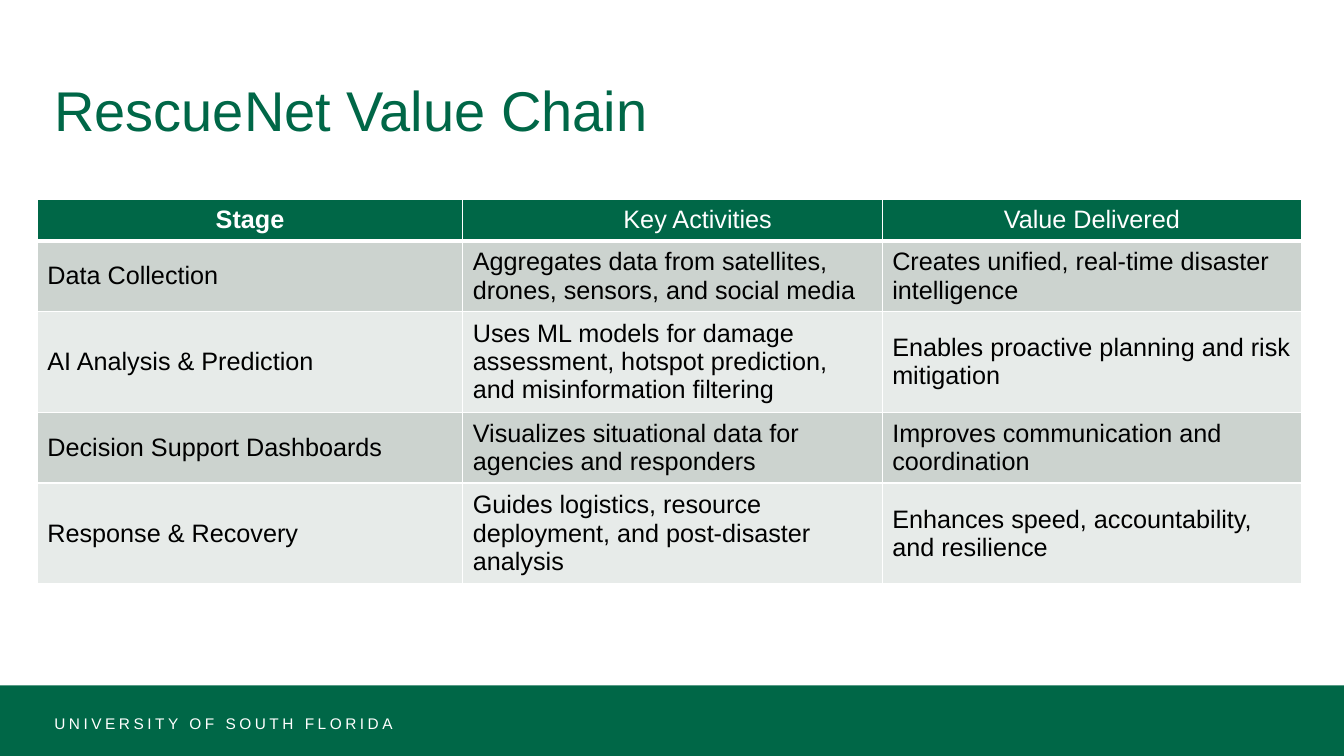
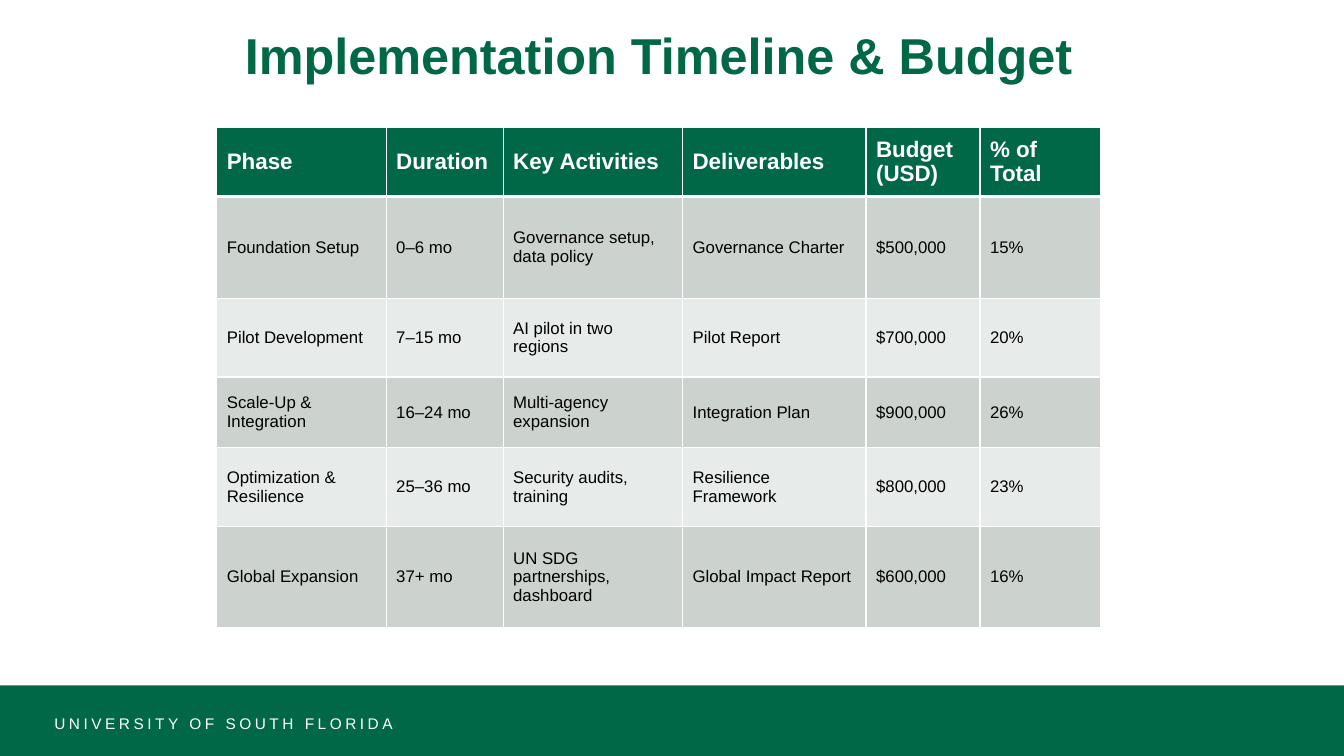
from lxml import etree
from pptx import Presentation
from pptx import util as u
from pptx.dml.color import RGBColor
from pptx.enum import shapes, text
from pptx.oxml import ns

GREEN = RGBColor(0x00, 0x67, 0x47)
WHITE = RGBColor(0xFF, 0xFF, 0xFF)
BLACK = RGBColor(0x00, 0x00, 0x00)
BANDS = [RGBColor(0xE7, 0xEB, 0xE9), RGBColor(0xCC, 0xD3, 0xCF)]
FONT = "Arial"
LEFT, CENTER = text.PP_ALIGN.LEFT, text.PP_ALIGN.CENTER
WIDTH, HEIGHT, BAND_HEIGHT = 13.33, 7.5, 0.7

SLIDES = [
    {
        "title": "RescueNet Value Chain",
        "title_box": (0.44, 0.4, 12.48, 1.45),
        "title_style": (40, False, LEFT),
        "table_at": (0.37, 1.98),
        "columns": [4.22, 4.16, 4.16],
        "heights": [0.41, 0.66, 0.94, 0.66, 0.94],
        "header_style": (18, False, CENTER),
        "body_size": 18,
        "rows": [
            ["Stage", "Key Activities", "Value Delivered"],
            ["Data Collection",
             "Aggregates data from satellites, drones, sensors, and social media",
             "Creates unified, real-time disaster intelligence"],
            ["AI Analysis & Prediction",
             "Uses ML models for damage assessment, hotspot prediction, and misinformation filtering",
             "Enables proactive planning and risk mitigation"],
            ["Decision Support Dashboards",
             "Visualizes situational data for agencies and responders",
             "Improves communication and coordination"],
            ["Response & Recovery",
             "Guides logistics, resource deployment, and post-disaster analysis",
             "Enhances speed, accountability, and resilience"],
        ],
    },
    {
        "title": "Implementation Timeline & Budget",
        "title_box": (2.27, 0, 8.53, 1.16),
        "title_style": (36, True, CENTER),
        "table_at": (2.15, 1.26),
        "columns": [1.68, 1.16, 1.78, 1.82, 1.13, 1.2],
        "heights": [0.69, 1.01, 0.78, 0.7, 0.78, 1.01],
        "header_style": (16, True, LEFT),
        "body_size": 12,
        "rows": [
            ["Phase", "Duration", "Key Activities", "Deliverables", "Budget (USD)", "% of Total"],
            ["Foundation Setup", "0–6 mo", "Governance setup, data policy",
             "Governance Charter", "$500,000", "15%"],
            ["Pilot Development", "7–15 mo", "AI pilot in two regions",
             "Pilot Report", "$700,000", "20%"],
            ["Scale-Up & Integration", "16–24 mo", "Multi-agency expansion",
             "Integration Plan", "$900,000", "26%"],
            ["Optimization & Resilience", "25–36 mo", "Security audits, training",
             "Resilience Framework", "$800,000", "23%"],
            ["Global Expansion", "37+ mo", "UN SDG partnerships, dashboard",
             "Global Impact Report", "$600,000", "16%"],
        ],
    },
]


def write(paragraph, words, size, color, bold=False, align=LEFT):
    paragraph.text = words
    paragraph.alignment = align
    font = paragraph.font
    font.name, font.size, font.bold = FONT, u.Pt(size), bold
    font.color.rgb = color


def add_label(slide, box, words, *style):
    label = slide.shapes.add_textbox(*map(u.Inches, box))
    label.text_frame.word_wrap = True
    label.text_frame.vertical_anchor = text.MSO_ANCHOR.MIDDLE
    paragraph = label.text_frame.paragraphs[0]
    write(paragraph, words, *style)
    return paragraph


presentation = Presentation()
presentation.slide_width = u.Inches(WIDTH)
presentation.slide_height = u.Inches(HEIGHT)

for content in SLIDES:
    slide = presentation.slides.add_slide(presentation.slide_layouts[6])

    band = slide.shapes.add_shape(
        shapes.MSO_SHAPE.RECTANGLE, 0, u.Inches(HEIGHT - BAND_HEIGHT),
        u.Inches(WIDTH), u.Inches(BAND_HEIGHT))
    band.shadow.inherit = False
    band.fill.solid()
    band.fill.fore_color.rgb = GREEN
    band.line.fill.background()

    size, bold, align = content["title_style"]
    title = add_label(slide, content["title_box"], content["title"], size, GREEN, bold, align)
    title.line_spacing = 0.9
    footer = add_label(slide, (0.44, 7.03, 8.82, 0.3), "UNIVERSITY OF SOUTH FLORIDA", 11, WHITE)
    footer.runs[0]._r.get_or_add_rPr().set("spc", "250")

    rows, columns, heights = content["rows"], content["columns"], content["heights"]
    left, top = content["table_at"]
    table = slide.shapes.add_table(
        len(rows), len(columns), u.Inches(left), u.Inches(top),
        u.Inches(sum(columns)), u.Inches(sum(heights))).table
    table.horz_banding = False
    for column, width in zip(table.columns, columns):
        column.width = u.Inches(width)
    for row, height in zip(table.rows, heights):
        row.height = u.Inches(height)

    size, bold, align = content["header_style"]
    for row_index, row in enumerate(rows):
        for column_index, words in enumerate(row):
            cell = table.cell(row_index, column_index)
            cell.vertical_anchor = text.MSO_ANCHOR.MIDDLE
            paragraph = cell.text_frame.paragraphs[0]
            if row_index == 0:
                write(paragraph, words, size, WHITE, bold or column_index == 0, align)
            else:
                write(paragraph, words, content["body_size"], BLACK)

            properties = cell._tc.get_or_add_tcPr()
            for side in ("L", "R", "T", "B"):
                thick = (row_index, side) in ((0, "B"), (1, "T"))
                border = etree.SubElement(
                    properties, ns.qn(f"a:ln{side}"), w=str(u.Pt(3 if thick else 1)))
                fill = etree.SubElement(border, ns.qn("a:solidFill"))
                etree.SubElement(fill, ns.qn("a:srgbClr"), val=str(WHITE))
            cell.fill.solid()
            cell.fill.fore_color.rgb = BANDS[row_index % 2] if row_index else GREEN

    if align == CENTER:
        paragraph = table.cell(0, 1).text_frame.paragraphs[0]
        paragraph._p.get_or_add_pPr().set("marL", str(u.Inches(0.5)))

presentation.save("out.pptx")
